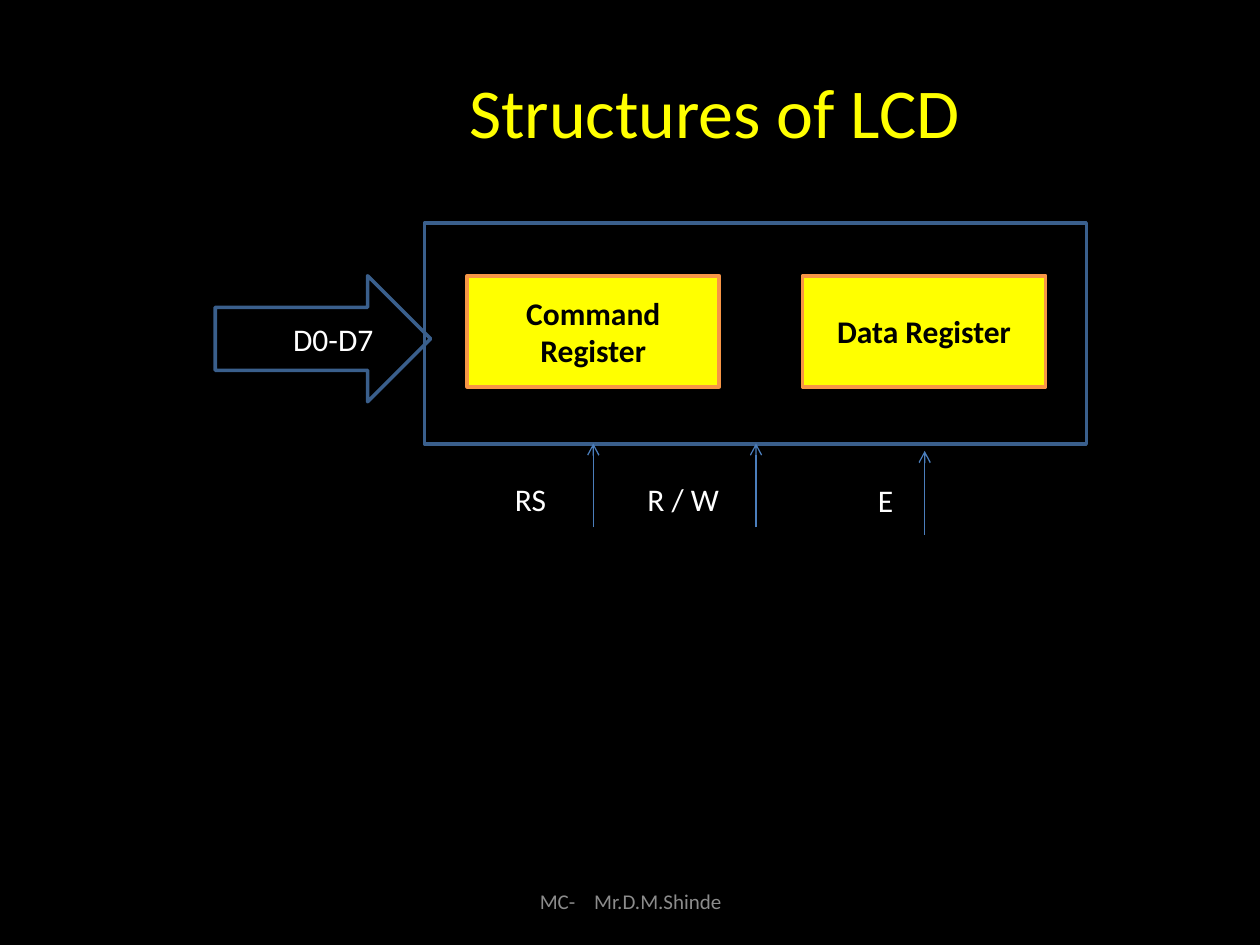
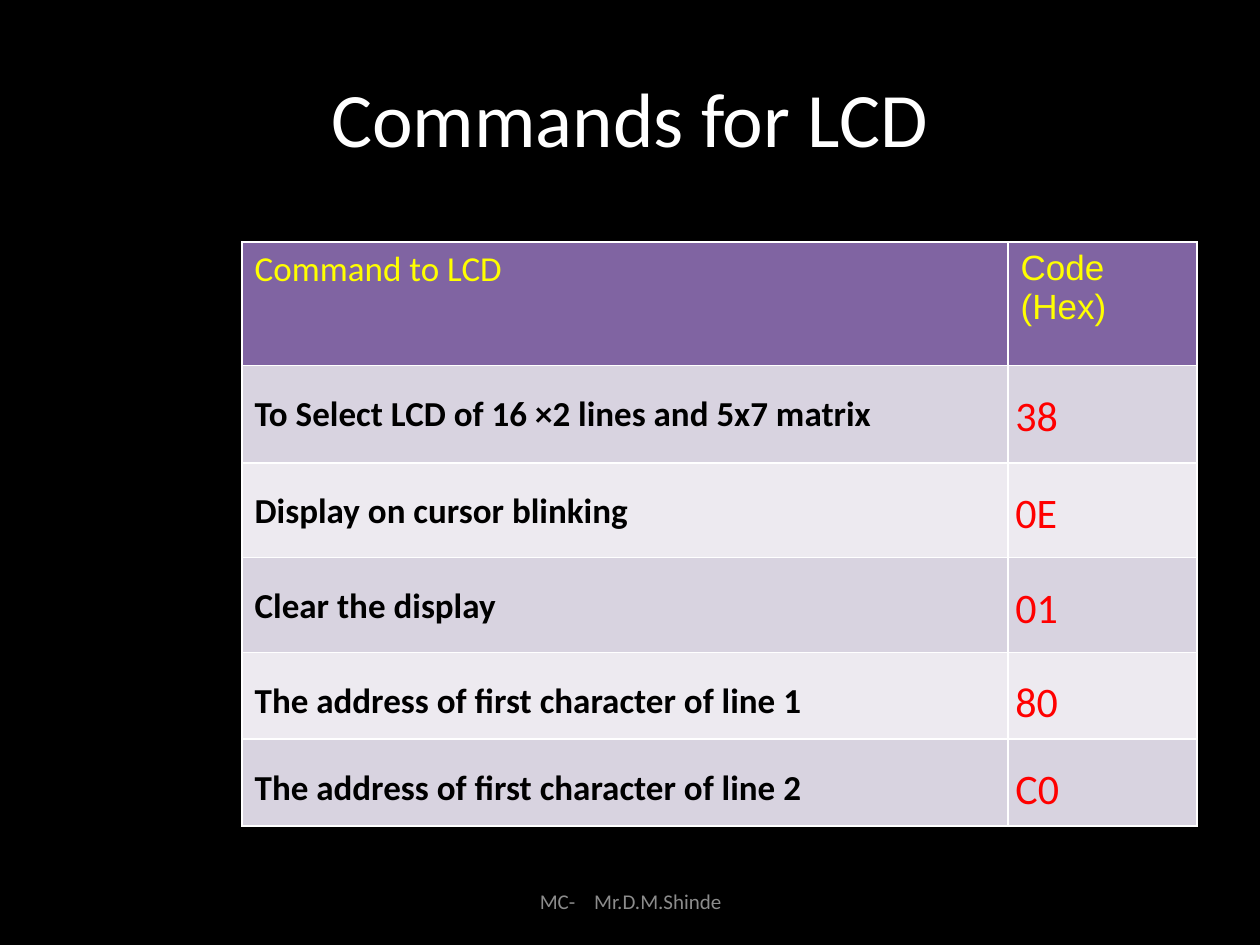
"""Build two slides on LCD structure and LCD commands."""
from lxml.etree import SubElement
from pptx import Presentation
from pptx.dml.color import RGBColor
from pptx.enum.shapes import MSO_CONNECTOR, MSO_SHAPE
from pptx.enum.text import MSO_ANCHOR, PP_ALIGN
from pptx.oxml.ns import qn
from pptx.util import Cm, Pt

BLACK = RGBColor(0x00, 0x00, 0x00)
WHITE = RGBColor(0xFF, 0xFF, 0xFF)
YELLOW = RGBColor(0xFF, 0xFF, 0x00)
RED = RGBColor(0xFF, 0x00, 0x00)
GREY = RGBColor(0x8C, 0x8C, 0x8C)
BLUE = RGBColor(0x3A, 0x5F, 0x8C)
ARROW_BLUE = RGBColor(0x4B, 0x7E, 0xBC)
ORANGE = RGBColor(0xF7, 0x96, 0x46)
PURPLE = RGBColor(0x80, 0x64, 0xA2)
BANDS = [RGBColor(0xED, 0xEA, 0xF0), RGBColor(0xD8, 0xD3, 0xE0)]


def add_run(p, text, size, color, bold=False, font="Calibri"):
    """Append a formatted run to a paragraph."""
    r = p.add_run()
    r.text = text
    r.font.size = Pt(size)
    r.font.bold = bold
    r.font.name = font
    r.font.color.rgb = color
    return r


def add_box(s, kind, box, line, fill=None):
    """Add a preset shape with a 2 pt outline and an optional fill."""
    sp = s.shapes.add_shape(kind, *map(Cm, box))
    sp.shadow.inherit = False
    sp.line.color.rgb = line
    sp.line.width = Pt(2)
    if fill is None:
        sp.fill.background()
    else:
        sp.fill.solid()
        sp.fill.fore_color.rgb = fill
    return sp


prs = Presentation()
prs.slide_width, prs.slide_height = Cm(25.4), Cm(19.05)
bg = prs.slide_master.background.fill
bg.solid()
bg.fore_color.rgb = BLACK

titles = [
    ("Structures of LCD", 40, YELLOW, (3.99, 0.64, 20.83, 3.18)),
    ("Commands for LCD", 44, WHITE, (1.27, 0.76, 22.86, 3.18)),
]
for text, size, color, box in titles:
    s = prs.slides.add_slide(prs.slide_layouts[5])
    title = s.shapes.title
    title.left, title.top, title.width, title.height = map(Cm, box)
    add_run(title.text_frame.paragraphs[0], text, size, color)

    tf = s.shapes.add_textbox(Cm(8.69), Cm(17.65), Cm(8.05), Cm(1.02)).text_frame
    tf.word_wrap = True
    tf.vertical_anchor = MSO_ANCHOR.MIDDLE
    p = tf.paragraphs[0]
    p.alignment = PP_ALIGN.CENTER
    add_run(p, "MC-", 12, GREY)
    gap = add_run(p, " ", 12, GREY)
    gap._r.get_or_add_rPr().set("spc", "800")
    add_run(p, "Mr.D.M.Shinde", 12, GREY)

structure, commands = prs.slides

add_box(structure, MSO_SHAPE.RECTANGLE, (8.56, 4.5, 13.34, 4.45), BLUE)
for text, left, width in [("Command Register", 9.42, 5.08), ("Data Register", 16.18, 4.9)]:
    sp = add_box(structure, MSO_SHAPE.RECTANGLE, (left, 5.56, width, 2.24), ORANGE, YELLOW)
    p = sp.text_frame.paragraphs[0]
    p.alignment = PP_ALIGN.CENTER
    add_run(p, text, 18, BLACK, bold=True)
add_box(structure, MSO_SHAPE.RIGHT_ARROW, (4.34, 5.56, 4.34, 2.54), BLUE)

for x, top in [(11.96, 8.94), (15.24, 8.94), (18.64, 9.09)]:
    line = structure.shapes.add_connector(
        MSO_CONNECTOR.STRAIGHT, Cm(x), Cm(top + 1.69), Cm(x), Cm(top))
    line.line.color.rgb = ARROW_BLUE
    line.line.width = Pt(0.75)
    SubElement(line.line._get_or_add_ln(), qn("a:tailEnd"), type="arrow")
    SubElement(line._element.spPr, qn("a:effectLst"))

labels = [("D0-D7", 5.66, 6.32, 2.97), ("RS", 10.13, 9.55, 1.7),
          ("R / W", 12.8, 9.55, 2.11), ("E", 17.45, 9.58, 0.84)]
for text, left, top, width in labels:
    tf = structure.shapes.add_textbox(Cm(left), Cm(top), Cm(width), Cm(1.02)).text_frame
    tf.word_wrap = True
    add_run(tf.paragraphs[0], text, 18, WHITE)

rows = [
    ("Command to LCD", "Code (Hex)", 2.49),
    ("To Select LCD of 16 ×2 lines and 5x7 matrix", "38", 1.96),
    ("Display on cursor blinking", "0E", 1.91),
    ("Clear the display", "01", 1.91),
    ("The address of first character of line 1", "80", 1.75),
    ("The address of first character of line 2", "C0", 1.75),
]
table = commands.shapes.add_table(
    len(rows), 2, Cm(4.88), Cm(4.88), Cm(19.25), Cm(11.77)).table
table.columns[0].width, table.columns[1].width = Cm(15.44), Cm(3.81)
for i, (command, code, height) in enumerate(rows):
    table.rows[i].height = Cm(height)
    for j, text in enumerate((command, code)):
        cell = table.cell(i, j)
        p = cell.text_frame.paragraphs[0]
        if i == 0:
            p.space_before = Pt(4)
            add_run(p, text, 20, YELLOW, font=("Calibri", "Arial")[j])
        else:
            p.line_spacing = 1.5
            if j == 0:
                add_run(p, text, 20, BLACK, bold=True)
            else:
                add_run(p, text, 24, RED)
                cell.margin_left = cell.margin_right = Cm(0.15)
                cell.margin_top = cell.margin_bottom = 0
        tcPr = cell._tc.get_or_add_tcPr()
        for side in ("lnL", "lnR", "lnT", "lnB"):
            ln = SubElement(tcPr, qn(f"a:{side}"), w=str(Pt(1)))
            fill = SubElement(ln, qn("a:solidFill"))
            SubElement(fill, qn("a:srgbClr"), val=str(WHITE))
        cell.fill.solid()
        cell.fill.fore_color.rgb = PURPLE if i == 0 else BANDS[i % 2]

prs.save("out.pptx")
